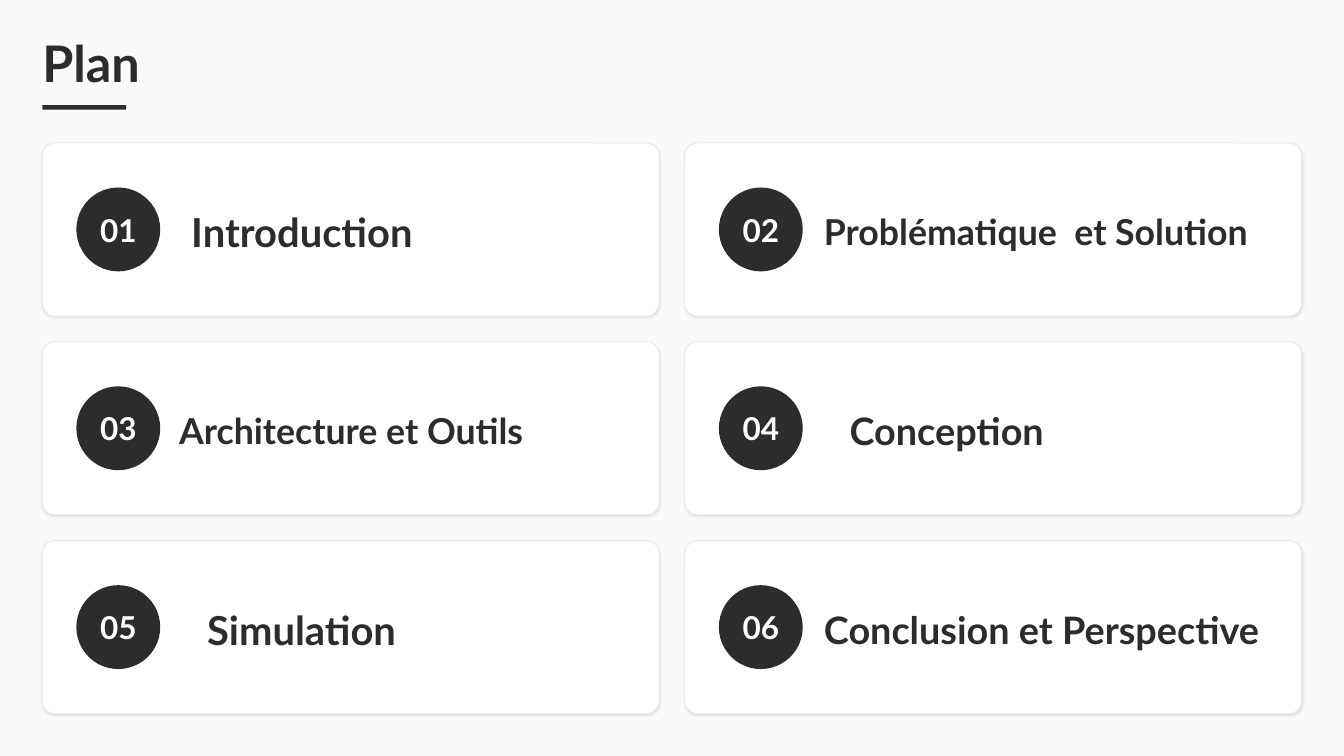
from lxml import etree
from pptx import Presentation
from pptx.dml.color import RGBColor
from pptx.enum import shapes, text
from pptx.oxml import ns
from pptx.util import Inches, Pt

TITLE = "Plan"
SECTIONS = [
    ("Introduction", 38, 1.97),
    ("Problématique  et Solution", 34, 1.84),
    ("Architecture et Outils", 34, 1.81),
    ("Conception", 36, 2.18),
    ("Simulation", 38, 2.18),
    ("Conclusion et Perspective", 36, 1.84),
]

INK = RGBColor(0x2C, 0x2C, 0x2C)
WHITE = RGBColor(0xFF, 0xFF, 0xFF)
PAPER = RGBColor(0xFA, 0xFA, 0xFA)
BORDER = RGBColor(0xE8, 0xE8, 0xE8)
FONT = "Lato"

COLUMNS = 2
MARGIN, GRID_TOP = 0.56, 1.89
CARD_WIDTH, CARD_HEIGHT, GAP = 8.16, 2.29, 0.34
CORNER = 0.17
BADGE, BADGE_LEFT = 1.11, 0.45
NUMBER_WIDTH = 1.32
LABEL_WIDTH, LABEL_HEIGHT = 5.99, 0.44


def add_text(page, content, left, top, width, height, size,
             color=INK, align=text.PP_ALIGN.LEFT, spacing=None):
    box = page.shapes.add_textbox(Inches(left), Inches(top), Inches(width), Inches(height))
    frame = box.text_frame
    frame.word_wrap = True
    frame.vertical_anchor = text.MSO_ANCHOR.MIDDLE
    frame.margin_left = frame.margin_right = frame.margin_top = frame.margin_bottom = 0
    para = frame.paragraphs[0]
    para.alignment = align
    if spacing:
        para.line_spacing = spacing
    span = para.add_run()
    span.text = content
    span.font.name = FONT
    span.font.size = Pt(size)
    span.font.bold = True
    span.font.color.rgb = color


def add_figure(page, kind, left, top, width, height, fill):
    figure = page.shapes.add_shape(kind, Inches(left), Inches(top), Inches(width), Inches(height))
    figure.shadow.inherit = False
    figure.fill.solid()
    figure.fill.fore_color.rgb = fill
    figure.line.fill.background()
    return figure


def add_card(page, left, top):
    card = add_figure(page, shapes.MSO_SHAPE.ROUNDED_RECTANGLE,
                      left, top, CARD_WIDTH, CARD_HEIGHT, WHITE)
    card.adjustments[0] = CORNER / CARD_HEIGHT
    card.line.color.rgb = BORDER
    card.line.width = Pt(0.67)
    effects = card.element.spPr.find(ns.qn("a:effectLst"))
    shadow = etree.SubElement(effects, ns.qn("a:outerShdw"), blurRad=str(Pt(3)),
                              dist=str(Pt(1)), dir="5400000", algn="bl", rotWithShape="0")
    shade = etree.SubElement(shadow, ns.qn("a:srgbClr"), val="000000")
    etree.SubElement(shade, ns.qn("a:alpha"), val="10000")


def add_section(page, index, label, size, indent):
    row, column = divmod(index, COLUMNS)
    left = MARGIN + column * (CARD_WIDTH + GAP)
    top = GRID_TOP + row * (CARD_HEIGHT + GAP)
    badge_left = left + BADGE_LEFT
    badge_top = top + (CARD_HEIGHT - BADGE) / 2
    add_card(page, left, top)
    add_figure(page, shapes.MSO_SHAPE.OVAL, badge_left, badge_top, BADGE, BADGE, INK)
    add_text(page, f"{index + 1:02}", badge_left - (NUMBER_WIDTH - BADGE) / 2, badge_top,
             NUMBER_WIDTH, BADGE, 30, color=WHITE, align=text.PP_ALIGN.CENTER)
    add_text(page, label, left + indent, top + (CARD_HEIGHT - LABEL_HEIGHT) / 2,
             LABEL_WIDTH, LABEL_HEIGHT, size, spacing=1.1)


def main():
    deck = Presentation()
    deck.slide_width, deck.slide_height = Inches(17.78), Inches(10)
    page = deck.slides.add_slide(deck.slide_layouts[6])
    page.background.fill.solid()
    page.background.fill.fore_color.rgb = PAPER
    add_text(page, TITLE, MARGIN, 0.56, 17, 0.67, 48, spacing=0.8)
    add_figure(page, shapes.MSO_SHAPE.RECTANGLE, MARGIN, 1.39, 1.11, 0.06, INK)
    for index, section in enumerate(SECTIONS):
        add_section(page, index, *section)
    deck.save("out.pptx")


if __name__ == "__main__":
    main()
